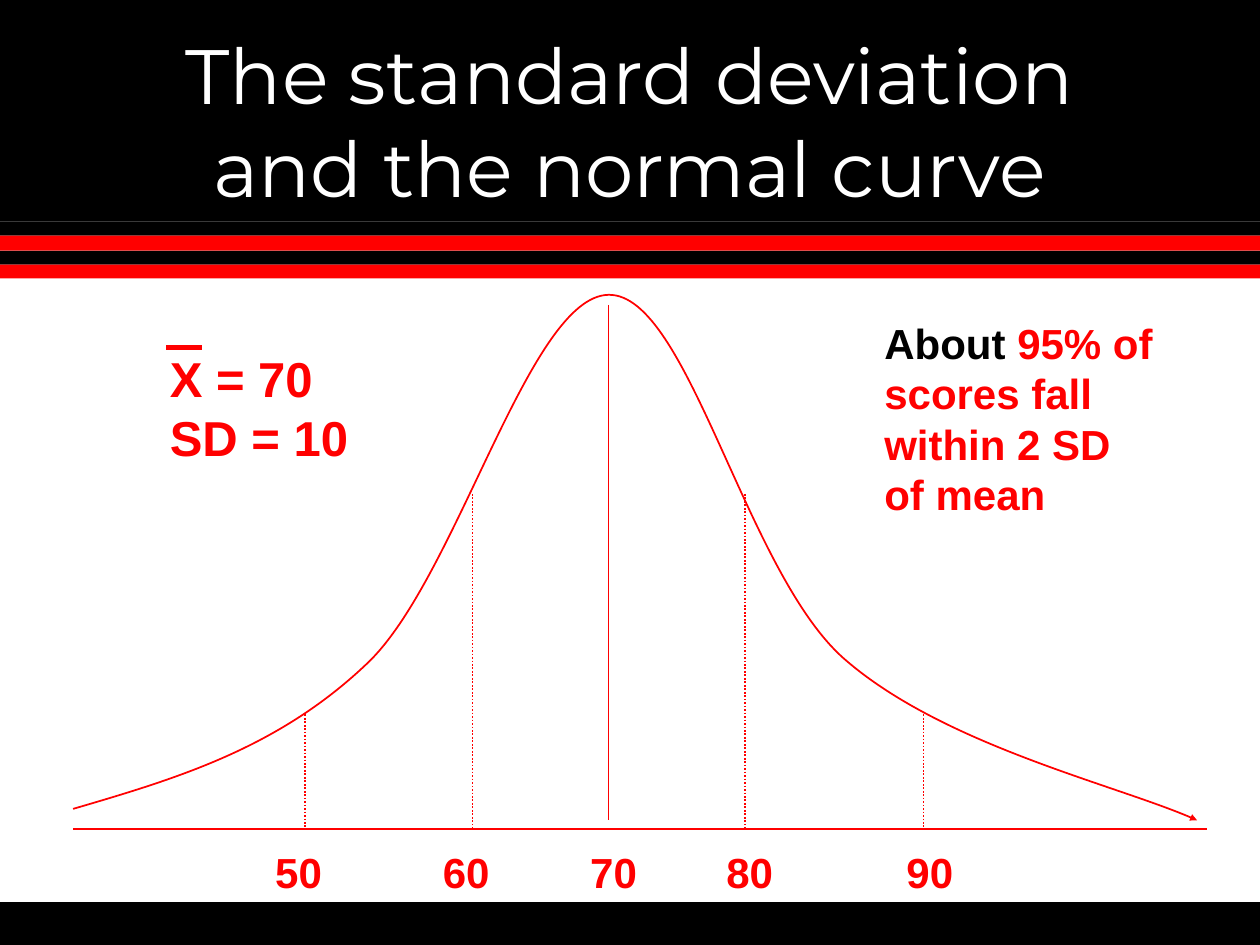
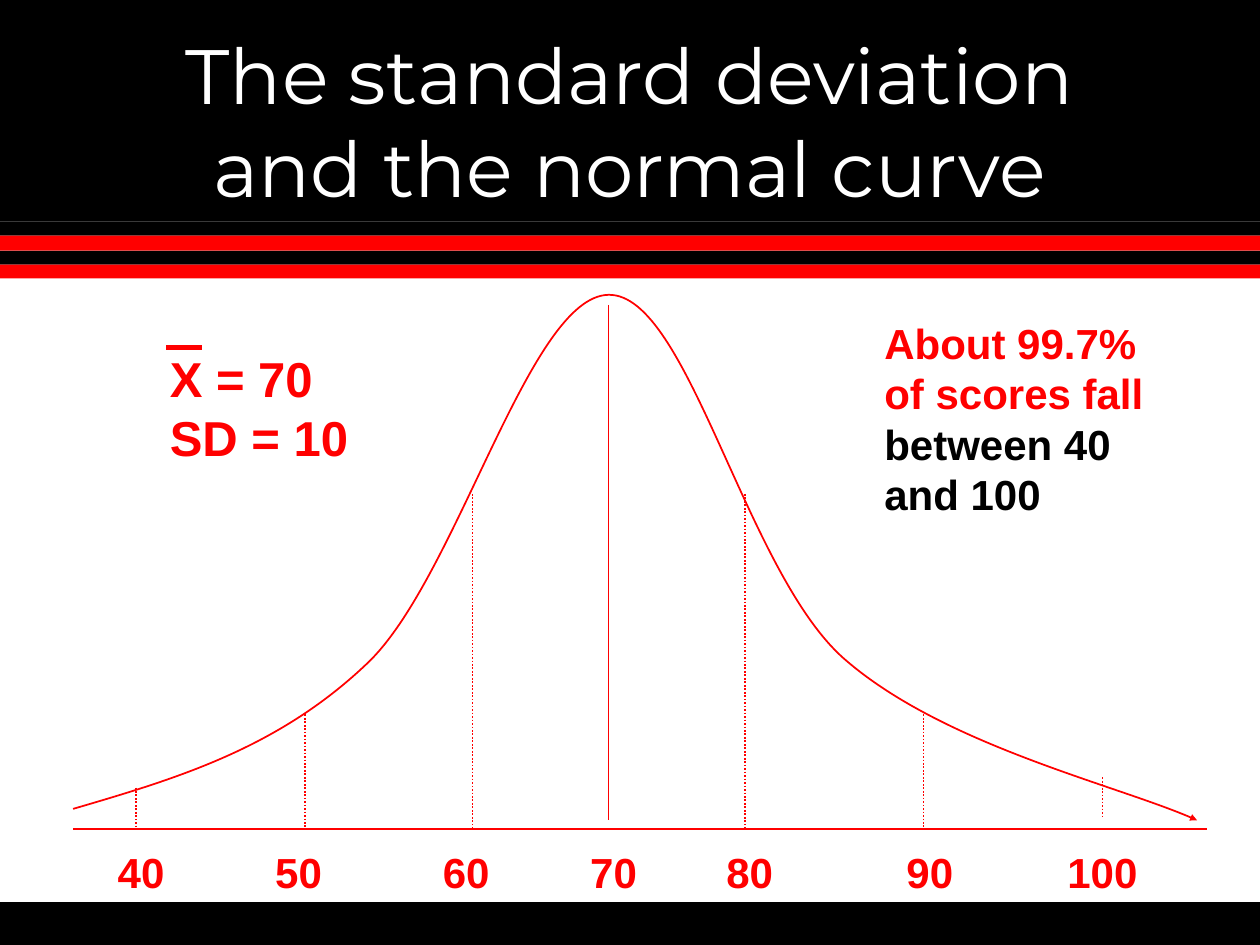
from pptx import Presentation
from pptx.dml.color import RGBColor
from pptx.enum.dml import MSO_LINE_DASH_STYLE as Dash
from pptx.enum.shapes import MSO_CONNECTOR as Connector, MSO_SHAPE as Shape
from pptx.enum.text import MSO_ANCHOR as Anchor, PP_ALIGN as Align
from pptx.oxml.ns import qn
from pptx.util import Inches, Pt
from lxml.etree import SubElement

COLORS = {"red": "FF0000", "black": "000000", "white": "FFFFFF", "backdrop": "969696"}
TITLE_FONT, BODY_FONT = "Montserrat", "Arial"
SLIDE_WIDTH, SLIDE_HEIGHT = 10, 7.5

# Background bands: top, height, colour
BANDS = [
    (1.5, 6, "white"),
    (7.16, 0.34, "black"),
    (0, 1.76, "black"),
    (1.76, 0.11, "black"),
    (1.87, 0.12, "red"),
    (1.99, 0.11, "black"),
    (2.1, 0.11, "red"),
]

# Boxes: left, top, width, height
TITLE_BOX = (0.75, 0.33, 8.5, 1.25)
PLOT_BOX = (0.58, 2.33, 9, 4.25)
STATISTICS_BOX = (1.25, 2.72, 1.8, 1.04)
NOTE_BOX = (6.92, 2.47, 2.42, 1.7)
LABEL_WIDTH, LABEL_HEIGHT = 0.9, 0.5

# Curve start, then three Bezier points per segment, relative to the plot
CURVE = [
    (0, 4.09),
    (0.82, 3.85), (1.63, 3.61), (2.34, 2.93),
    (3.05, 2.25), (3.62, 0.02), (4.25, 0.01),
    (4.88, 0), (5.33, 2.19), (6.11, 2.89),
    (6.89, 3.58), (8.33, 3.91), (8.92, 4.18),
]

# Score: line x, line top, line bottom, label centre, relative to the plot
SCORES = {
    40: (0.5, 3.92, 4.25, 0.54),
    50: (1.84, 3.34, 4.25, 1.79),
    60: (3.17, 1.59, 4.25, 3.12),
    70: (4.25, 0.09, 4.18, 4.29),
    80: (5.33, 1.59, 4.25, 5.37),
    90: (6.75, 3.34, 4.25, 6.8),
    100: (8.17, 3.84, 4.17, 8.17),
}
MEAN = 70


def color(name):
    return RGBColor.from_string(COLORS[name])


def add_text(slide, box, paragraphs, size, font=BODY_FONT, bold=True,
             align=Align.LEFT, anchor=Anchor.TOP):
    """Each paragraph is a list of (text, colour name) runs."""
    frame = slide.shapes.add_textbox(*map(Inches, box)).text_frame
    frame.word_wrap = True
    frame.vertical_anchor = anchor
    for index, runs in enumerate(paragraphs):
        paragraph = frame.paragraphs[0] if index == 0 else frame.add_paragraph()
        paragraph.alignment = align
        for text, color_name in runs:
            run = paragraph.add_run()
            run.text = text
            run.font.name, run.font.size, run.font.bold = font, Pt(size), bold
            run.font.color.rgb = color(color_name)


def add_line(slide, x1, y1, x2, y2, width=1, dash=None):
    line = slide.shapes.add_connector(Connector.STRAIGHT, *map(Inches, (x1, y1, x2, y2)))
    line.line.color.rgb = color("red")
    line.line.width = Pt(width)
    if dash:
        line.line.dash_style = dash
    SubElement(line.element.spPr, qn("a:effectLst"))


def add_frame(slide):
    """Bands and title shared by every slide."""
    fill = slide.background.fill
    fill.solid()
    fill.fore_color.rgb = color("backdrop")
    for top, height, color_name in BANDS:
        band = slide.shapes.add_shape(
            Shape.RECTANGLE, 0, Inches(top), Inches(SLIDE_WIDTH), Inches(height))
        band.shadow.inherit = False
        band.fill.solid()
        band.fill.fore_color.rgb = color(color_name)
        band.line.fill.background()
    add_text(slide, TITLE_BOX, [[("The standard deviation and the normal curve", "white")]],
             44, TITLE_FONT, bold=False, align=Align.CENTER, anchor=Anchor.MIDDLE)


def add_curve(slide, left, top):
    points = [(Inches(left + x), Inches(top + y)) for x, y in CURVE]
    builder = slide.shapes.build_freeform(*points[0])
    builder.add_line_segments(points[1:], close=False)
    curve = builder.convert_to_shape()
    curve.shadow.inherit = False
    curve.fill.background()
    curve.line.color.rgb = color("red")
    curve.line.width = Pt(1)
    # Turn every three line segments into one Bezier segment
    segments = list(curve.element.iter(qn("a:lnTo")))
    outline = segments[0].getparent()
    for start in range(0, len(segments), 3):
        bezier = SubElement(outline, qn("a:cubicBezTo"))
        for segment in segments[start:start + 3]:
            bezier.append(segment[0])
            outline.remove(segment)
    # Small arrowhead at the right end
    line_element = curve.element.spPr.find(qn("a:ln"))
    SubElement(line_element, qn("a:tailEnd"), type="triangle", w="sm", len="sm")


def add_plot(slide, box, scores):
    left, top, width, height = box
    add_line(slide, left, top + height, left + width, top + height)
    add_curve(slide, left, top)
    for score in scores:
        x, line_top, line_bottom, center = SCORES[score]
        add_line(slide, left + x, top + line_top, left + x, top + line_bottom,
                 dash=None if score == MEAN else Dash.ROUND_DOT)
        label_box = (left + center - LABEL_WIDTH / 2, top + height + 0.09,
                     LABEL_WIDTH, LABEL_HEIGHT)
        add_text(slide, label_box, [[(str(score), "red")]], 24, align=Align.CENTER)


def add_statistics(slide, box):
    left, top = box[:2]
    add_text(slide, box, [[("X = 70", "red")], [("SD = 10", "red")]], 28)
    # Bar over the X
    add_line(slide, left + 0.07, top + 0.04, left + 0.35, top + 0.04, width=3)


def add_curve_slide(presentation, scores, note):
    slide = presentation.slides.add_slide(presentation.slide_layouts[6])
    add_frame(slide)
    add_plot(slide, PLOT_BOX, scores)
    add_statistics(slide, STATISTICS_BOX)
    add_text(slide, NOTE_BOX, note, 24)


def main():
    presentation = Presentation()
    presentation.slide_width = Inches(SLIDE_WIDTH)
    presentation.slide_height = Inches(SLIDE_HEIGHT)
    add_curve_slide(presentation, range(50, 91, 10), [
        [("About ", "black"), ("95% of", "red")],
        [("scores fall", "red")],
        [("within 2 SD", "red")],
        [("of mean", "red")],
    ])
    add_curve_slide(presentation, range(40, 101, 10), [
        [("About 99.7% of scores fall ", "red"), ("between 40 and 100", "black")],
    ])
    presentation.save("out.pptx")


if __name__ == "__main__":
    main()
